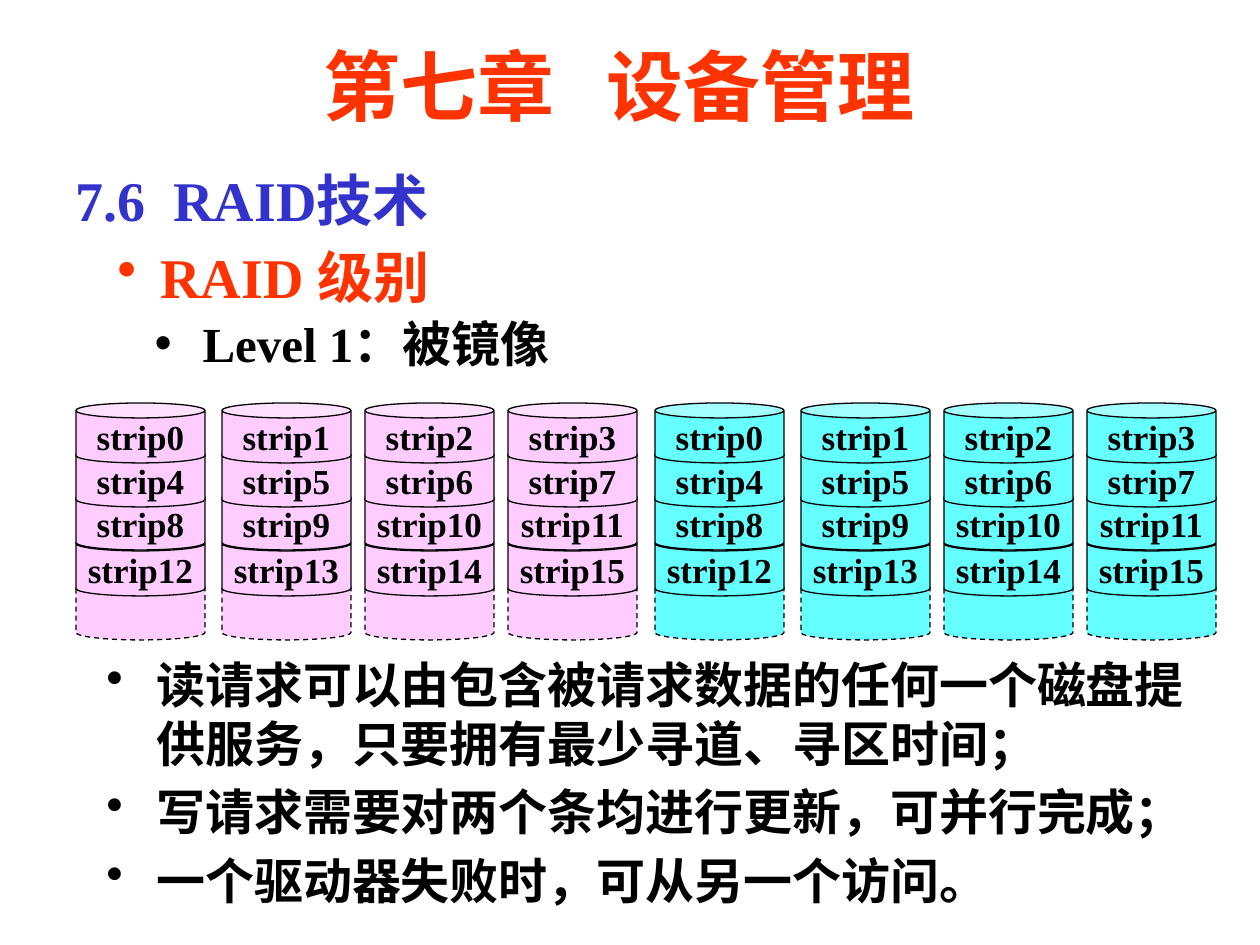
from lxml import etree
from pptx import Presentation
from pptx import util as u
from pptx.dml.color import RGBColor
from pptx.enum import dml, shapes, text
from pptx.oxml import ns

PX = u.Inches(1) / 126
FONT = "Times New Roman"
BLACK, RED, BLUE = "000000", "FF3300", "3333CC"
PINK, CYAN = "FFCCFF", "66FFFF"

COLUMNS = (76, 222, 365, 508)
STRIP_TOPS = (403, 447, 490, 536)
FREE_TOP = 580
CAN_W, CAN_H = 129, 60
MIRROR_SHIFT = 579


def px(n):
    return u.Emu(round(n * PX))


def rgb(value):
    return RGBColor.from_string(value)


def add_bullet(p, hang):
    pPr = p._p.get_or_add_pPr()
    pPr.set("marL", str(px(hang)))
    pPr.set("indent", str(-px(hang)))
    etree.SubElement(pPr, ns.qn("a:buChar")).set("char", "•")


def write(sp, *lines, size=28, color=BLACK, align=text.PP_ALIGN.LEFT,
          anchor=text.MSO_ANCHOR.TOP, wrap=True, hang=0, gap=0, spacing=None):
    """Fill a shape with one paragraph per line; hang > 0 makes bullets."""
    tf = sp.text_frame
    tf.auto_size = text.MSO_AUTO_SIZE.NONE
    tf.word_wrap = wrap
    tf.vertical_anchor = anchor
    for i, line in enumerate(lines):
        p = tf.add_paragraph() if i else tf.paragraphs[0]
        if hang:
            add_bullet(p, hang)
        p.alignment = align
        p.space_before = u.Pt(gap if i else 0)
        if spacing:
            p.line_spacing = spacing
        r = p.add_run()
        r.text = line
        r.font.name = FONT
        r.font.size = u.Pt(size)
        r.font.bold = True
        r.font.color.rgb = rgb(color)


def place(sp, x, y, w, h):
    sp.left, sp.top, sp.width, sp.height = px(x), px(y), px(w), px(h)
    return sp


def add_box(s, x, y, w, h):
    return s.shapes.add_textbox(px(x), px(y), px(w), px(h))


def add_can(disk, x, y, fill, label=None):
    """Add one strip of a disk; without a label it is the dashed free space."""
    sp = disk.shapes.add_shape(shapes.MSO_SHAPE.CAN, px(x), px(y),
                               px(CAN_W), px(CAN_H))
    sp.adjustments[0] = 0.25
    sp.shadow.inherit = False
    sp.fill.solid()
    sp.fill.fore_color.rgb = rgb(fill)
    sp.line.color.rgb = rgb(BLACK)
    sp.line.width = u.Pt(0.75)
    if label:
        write(sp, label, size=20, align=text.PP_ALIGN.CENTER,
              anchor=text.MSO_ANCHOR.MIDDLE, wrap=False)
        sp.text_frame.margin_top = sp.text_frame.margin_bottom = 0
    else:
        sp.line.dash_style = dml.MSO_LINE.DASH


def add_disk(s, x, column, fill):
    """Stack the strips from the bottom up, so that upper ones overlap lower."""
    disk = s.shapes.add_group_shape()
    add_can(disk, x, FREE_TOP, fill)
    for row in reversed(range(len(STRIP_TOPS))):
        strip = row * len(COLUMNS) + column
        add_can(disk, x, STRIP_TOPS[row], fill, f"strip{strip}")


def main():
    prs = Presentation()
    prs.slide_width, prs.slide_height = u.Inches(10), u.Inches(7.5)
    s = prs.slides.add_slide(prs.slide_layouts[1])

    title = place(s.shapes.title, 147, 32, 945, 105)
    write(title, "第七章   设备管理", size=44, color=RED,
          align=text.PP_ALIGN.CENTER, anchor=text.MSO_ANCHOR.MIDDLE)
    write(add_box(s, 63, 159, 1124, 79), "7.6  RAID技术", size=32, color=BLUE)
    write(add_box(s, 105, 224, 576, 105), "RAID 级别", size=32, color=RED,
          anchor=text.MSO_ANCHOR.MIDDLE, hang=43)
    level = place(s.placeholders[1], 142, 304, 1084, 79)
    write(level, "Level 1：被镜像", hang=48, spacing=1.05)

    for shift, fill in ((0, PINK), (MIRROR_SHIFT, CYAN)):
        for column, x in enumerate(COLUMNS):
            add_disk(s, x + shift, column, fill)

    write(add_box(s, 94, 648, 1131, 272),
          "读请求可以由包含被请求数据的任何一个磁盘提供服务，只要拥有最少寻道、寻区时间；",
          "写请求需要对两个条均进行更新，可并行完成；",
          "一个驱动器失败时，可从另一个访问。",
          hang=50, gap=5.6)

    prs.save("out.pptx")


if __name__ == "__main__":
    main()
